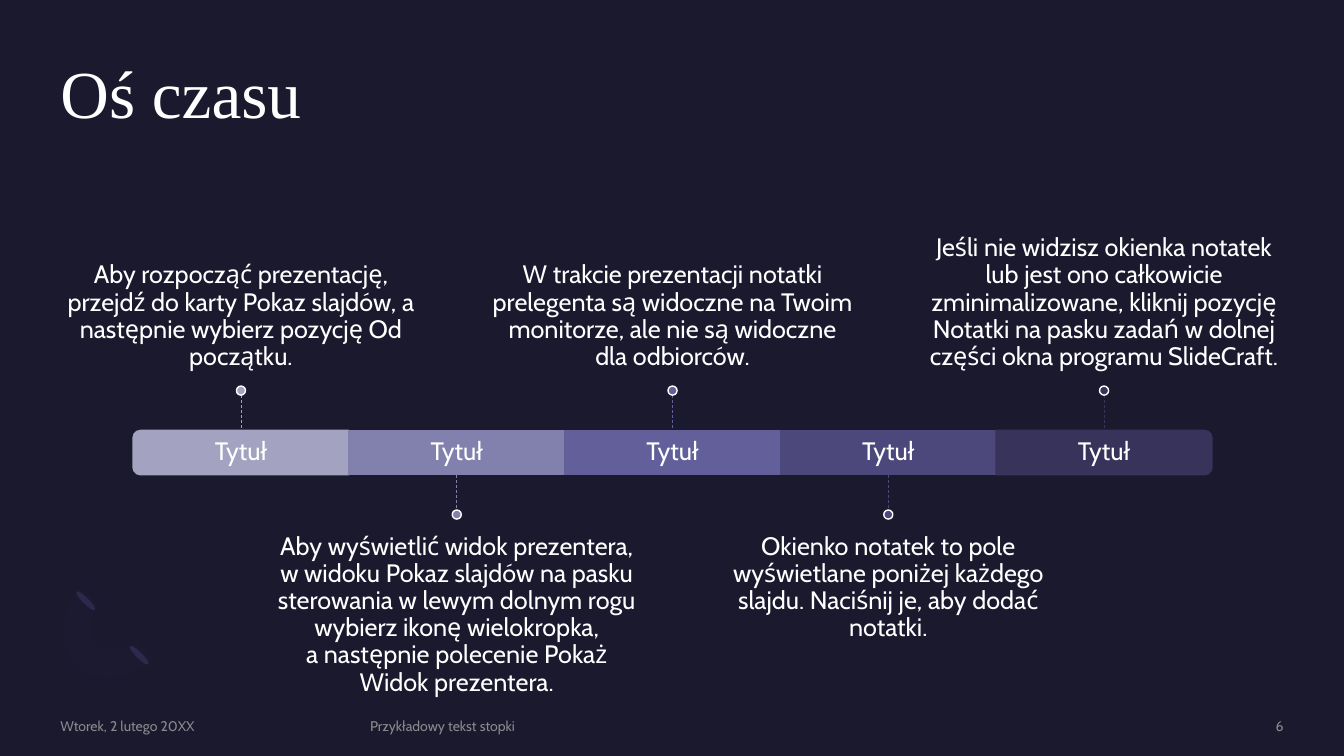
import pptx
import pptx.util
import pptx.dml.color
import pptx.enum.dml
import pptx.enum.shapes
import pptx.enum.text
import pptx.oxml
import pptx.oxml.ns
from lxml import etree

Inches = pptx.util.Inches
Shape = pptx.enum.shapes.MSO_SHAPE
Align = pptx.enum.text.PP_ALIGN
Anchor = pptx.enum.text.MSO_ANCHOR

COLORS = {"back": "1B192E", "text": "FFFFFF", "foot": "8A8A8E", "leaf": "2C284A", "arc": "7771B2"}
TITLE = "Oś czasu"
STEPS = [
    ("Tytuł", "A3A3C1", "Aby rozpocząć prezentację, przejdź do karty Pokaz slajdów, "
     "a następnie wybierz pozycję Od początku."),
    ("Tytuł", "8281AE", "Aby wyświetlić widok prezentera, w widoku Pokaz slajdów na pasku sterowania "
     "w lewym dolnym rogu wybierz ikonę wielokropka,\va następnie polecenie Pokaż Widok prezentera."),
    ("Tytuł", "625F9A", "W trakcie prezentacji notatki prelegenta są widoczne na Twoim monitorze, "
     "ale nie są widoczne dla odbiorców."),
    ("Tytuł", "4C487B", "Okienko notatek to pole wyświetlane poniżej każdego slajdu. "
     "Naciśnij je, aby dodać notatki."),
    ("Tytuł", "37335B", "Jeśli nie widzisz okienka notatek lub jest ono całkowicie zminimalizowane, "
     "kliknij pozycję Notatki na pasku zadań w dolnej części okna programu SlideCraft."),
]
FOOTER = [
    ("Wtorek, 2 lutego 20XX", 0.6, 2.88, Align.LEFT),
    ("Przykładowy tekst stopki", 3.67, 6.98, Align.LEFT),
    ("6", 10.88, 1.85, Align.RIGHT),
]
LEAVES = [(1.35, 6.37), (0.82, 5.83)]
ARC = [
    [(0.76, 6.59), (0.56, 6.39), (0.58, 6.05), (0.81, 5.82)],
    [(0.99, 6), (0.87, 6.11), (0.86, 6.29), (0.96, 6.38)],
    [(0.96, 6.38), (1.06, 6.48), (1.23, 6.47), (1.35, 6.36)],
    [(1.52, 6.54), (1.3, 6.76), (0.95, 6.79), (0.76, 6.59)],
]
MID, STEP = 6.67, 2.14
BAR_TOP, BAR_H = 4.27, 0.44
STEM, DOT = 0.35, 0.09
NOTE_W, NOTE_H = 3.57, 1.52


def rgb(color):
    return pptx.dml.color.RGBColor.from_string(color)


def write(frame, text, size=18, font="Cabin", color=COLORS["text"], align=Align.CENTER,
          anchor=Anchor.MIDDLE, inset=(0, 0, 0, 0), space=0.9):
    frame.word_wrap = True
    frame.auto_size = pptx.enum.text.MSO_AUTO_SIZE.NONE
    frame.vertical_anchor = anchor
    frame.margin_left, frame.margin_top, frame.margin_right, frame.margin_bottom = map(Inches, inset)
    line = frame.paragraphs[0]
    line.text = text
    line.alignment = align
    line.line_spacing = space
    for run in line.runs:
        run.font.size = pptx.util.Pt(size)
        run.font.name = font
        run.font.color.rgb = rgb(color)


def paint(shape, fill, line=None):
    shape.shadow.inherit = False
    shape.fill.solid()
    shape.fill.fore_color.rgb = rgb(fill)
    if line:
        shape.line.color.rgb = rgb(line)
        shape.line.width = pptx.util.Pt(1)
    else:
        shape.line.fill.background()


def draw(slide, kind, left, top, width, height, fill, line=None, turn=0):
    shape = slide.shapes.add_shape(kind, *map(Inches, (left, top, width, height)))
    shape.rotation = turn
    paint(shape, fill, line)


def label(slide, text, left, top, width, height, **form):
    box = slide.shapes.add_textbox(*map(Inches, (left, top, width, height)))
    write(box.text_frame, text, **form)


def curve(points, count=12):
    for i in range(count + 1):
        t = i / count
        parts = ((1 - t) ** 3, 3 * t * (1 - t) ** 2, 3 * t * t * (1 - t), t ** 3)
        yield tuple(Inches(sum(w * p[axis] for w, p in zip(parts, points))) for axis in (0, 1))


def draw_arc(slide):
    dots = [dot for part in ARC for dot in curve(part)]
    path = slide.shapes.build_freeform(*dots[0])
    path.add_line_segments(dots[1:], close=True)
    arc = path.convert_to_shape()
    paint(arc, COLORS["arc"])
    tint = arc.fill._xPr.find(".//" + pptx.oxml.ns.qn("a:srgbClr"))
    etree.SubElement(tint, pptx.oxml.ns.qn("a:alpha"), val="2000")


def draw_stem(slide, mid, top, color):
    stem = slide.shapes.add_connector(pptx.enum.shapes.MSO_CONNECTOR.STRAIGHT,
                                      *map(Inches, (mid, top, mid, top + STEM)))
    stem.line.color.rgb = rgb(color)
    stem.line.width = pptx.util.Pt(0.5)
    stem.line.dash_style = pptx.enum.dml.MSO_LINE.DASH
    etree.SubElement(stem._element.spPr, pptx.oxml.ns.qn("a:effectLst"))


def draw_step(slide, i, name, color, note):
    mid = MID + (i - 2) * STEP
    left = mid - STEP / 2
    if i in (0, len(STEPS) - 1):
        draw(slide, Shape.ROUND_2_SAME_RECTANGLE, mid - BAR_H / 2, BAR_TOP + BAR_H / 2 - STEP / 2,
             BAR_H, STEP, color, color, 90 if i else 270)
    else:
        draw(slide, Shape.RECTANGLE, left, BAR_TOP, STEP, BAR_H, color, color)
    label(slide, name, left, BAR_TOP, STEP, BAR_H, inset=(0.15,) * 4)

    if i % 2 == 0:
        stem, dot, top = BAR_TOP - STEM, BAR_TOP - STEM - DOT, 2.31
        form = {"anchor": Anchor.BOTTOM, "inset": (0, 0, 0, 0.15)}
    else:
        stem, dot, top = BAR_TOP + BAR_H, BAR_TOP + BAR_H + STEM, 5.14
        form = {"anchor": Anchor.TOP, "inset": (0, 0.15, 0, 0)}
    label(slide, note, mid - NOTE_W / 2, top, NOTE_W, NOTE_H, **form)
    draw_stem(slide, mid, stem, color)
    draw(slide, Shape.OVAL, mid - DOT / 2, dot, DOT, DOT, color, COLORS["text"])


def main():
    deck = pptx.Presentation()
    deck.slide_width, deck.slide_height = Inches(13.33), Inches(7.5)
    slide = deck.slides.add_slide(deck.slide_layouts[5])
    slide.background.fill.solid()
    slide.background.fill.fore_color.rgb = rgb(COLORS["back"])

    for left, top in LEAVES:
        draw(slide, Shape.OVAL, left, top, 0.06, 0.26, COLORS["leaf"], turn=135)
    draw_arc(slide)

    title = slide.shapes.title
    title.left, title.top, title.width, title.height = map(Inches, (0.6, 0.6, 12.13, 1.46))
    write(title.text_frame, TITLE, size=48, font="Times New Roman", align=Align.LEFT, anchor=Anchor.TOP)

    for i, step in enumerate(STEPS):
        draw_step(slide, i, *step)
    for text, left, width, align in FOOTER:
        label(slide, text, left, 7.12, width, 0.17, size=10, color=COLORS["foot"], align=align, space=1)
    deck.save("out.pptx")


if __name__ == "__main__":
    main()
